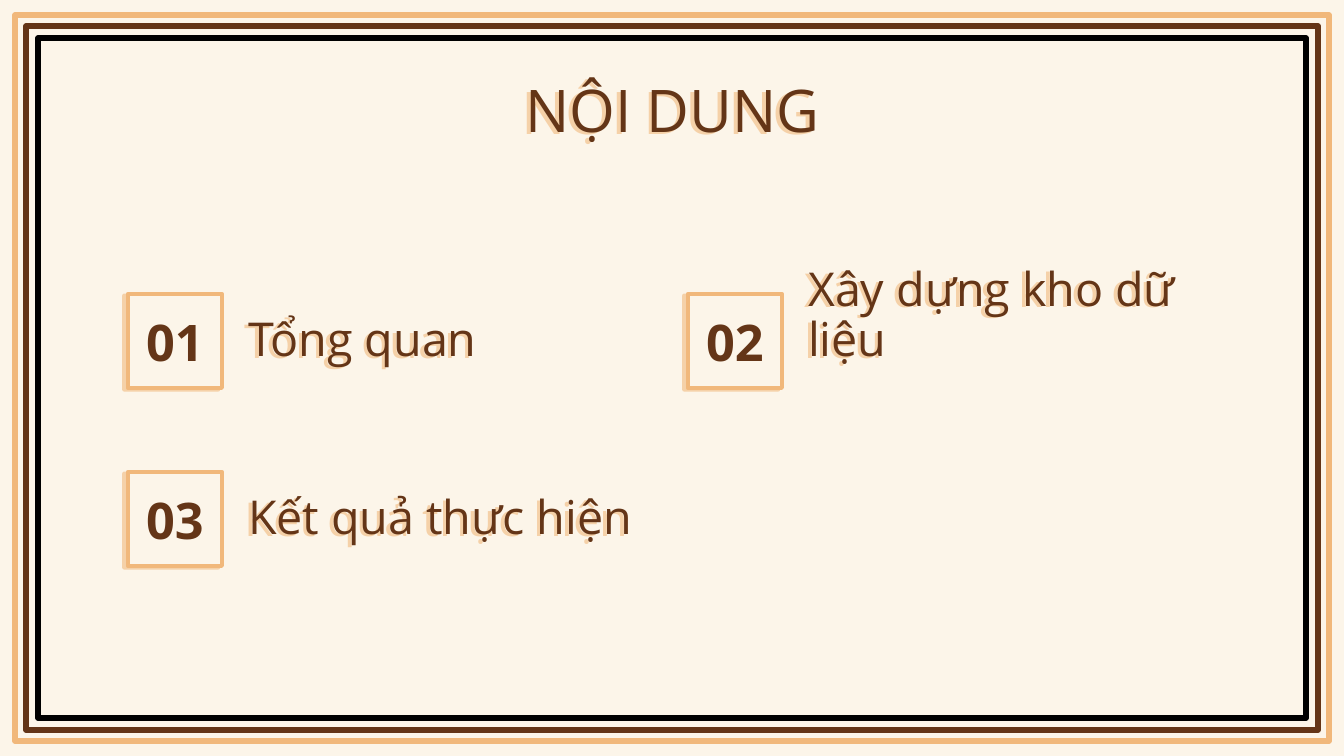
import pptx
import pptx.util
import pptx.dml.color
import pptx.enum.shapes
import pptx.enum.text
import pptx.oxml
import pptx.oxml.ns
from lxml import etree

RGB = pptx.dml.color.RGBColor
CREAM = RGB(0xFC, 0xF5, 0xE9)
SAND = RGB(0xF1, 0xB8, 0x7B)
BROWN = RGB(0x64, 0x35, 0x17)
BLACK = RGB(0, 0, 0)
ALIGN = pptx.enum.text.PP_ALIGN
ANCHOR = pptx.enum.text.MSO_ANCHOR
EMU_PER_PX = 914400 / 134.4
WIDTH, HEIGHT = 1344, 756


def px(*lengths):
    return [pptx.util.Emu(round(n * EMU_PER_PX)) for n in lengths]


class Deck:
    font = "Open Sans"

    def __init__(self):
        self.prs = pptx.Presentation()
        self.prs.slide_width, self.prs.slide_height = px(WIDTH, HEIGHT)
        self.s = self.prs.slides.add_slide(self.prs.slide_layouts[6])
        self.s.background.fill.solid()
        self.s.background.fill.fore_color.rgb = CREAM

    def shadow(self, sp):
        sp.shadow.inherit = False
        effects = sp._element.spPr.find(pptx.oxml.ns.qn("a:effectLst"))
        effects.append(pptx.oxml.parse_xml(
            f'<a:outerShdw {pptx.oxml.ns.nsdecls("a")} dist="27940" dir="9300000" '
            f'algn="bl" rotWithShape="0"><a:srgbClr val="{SAND}">'
            '<a:alpha val="58000"/></a:srgbClr></a:outerShdw>'))

    def rect(self, box, line, width, fill=None):
        sp = self.s.shapes.add_shape(pptx.enum.shapes.MSO_SHAPE.RECTANGLE, *px(*box))
        sp.shadow.inherit = False
        if fill is None:
            sp.fill.background()
        else:
            sp.fill.solid()
            sp.fill.fore_color.rgb = fill
        sp.line.color.rgb = line
        sp.line.width = pptx.util.Pt(width)
        ln = sp._element.spPr.find(pptx.oxml.ns.qn("a:ln"))
        etree.SubElement(ln, pptx.oxml.ns.qn("a:round"))
        return sp

    def label(self, sp, text, size, anchor, bold=False, **paragraph):
        tf = sp.text_frame
        inset = pptx.util.Inches(0.1)
        frame = dict(word_wrap=True, vertical_anchor=anchor, margin_left=inset,
                     margin_right=inset, margin_top=inset, margin_bottom=inset)
        p = tf.paragraphs[0]
        r = p.add_run()
        r.text = text
        font = dict(name=self.font, size=pptx.util.Pt(size), bold=bold)
        for target, values in ((tf, frame), (p, paragraph), (r.font, font)):
            for name, value in values.items():
                setattr(target, name, value)
        r.font.color.rgb = BROWN

    def text(self, box, text, size, anchor, **paragraph):
        sp = self.s.shapes.add_textbox(*px(*box))
        self.shadow(sp)
        self.label(sp, text, size, anchor, **paragraph)

    def number(self, box, text):
        sp = self.rect(box, SAND, 2.25, CREAM)
        self.shadow(sp)
        self.label(sp, text, 27, ANCHOR.MIDDLE, bold=True, alignment=ALIGN.CENTER)


deck = Deck()

# Nested frames
for inset, color in ((15, SAND), (26, BROWN), (38, BLACK)):
    deck.rect((inset, inset, WIDTH - 2 * inset, HEIGHT - 2 * inset), color, 3)

# Title
deck.text((106, 66, 1133, 85), "NỘI DUNG", 31.5, ANCHOR.TOP,
          alignment=ALIGN.CENTER, space_after=pptx.util.Pt(2), line_spacing=0.94)

# Numbered topics in two columns
topics = (("Tổng quan", 376), ("Xây dựng kho dữ liệu", 454), ("Kết quả thực hiện", 454))
for i, (topic, width) in enumerate(topics):
    row, col = divmod(i, 2)
    left, top = 128 + 560 * col, 294 + 178 * row
    deck.number((left, top, 94, 94), f"{i + 1:02d}")
    deck.text((left + 107, top + 19, width, 67), topic, 25, ANCHOR.BOTTOM,
              alignment=ALIGN.LEFT, line_spacing=0.9)

deck.prs.save("out.pptx")
